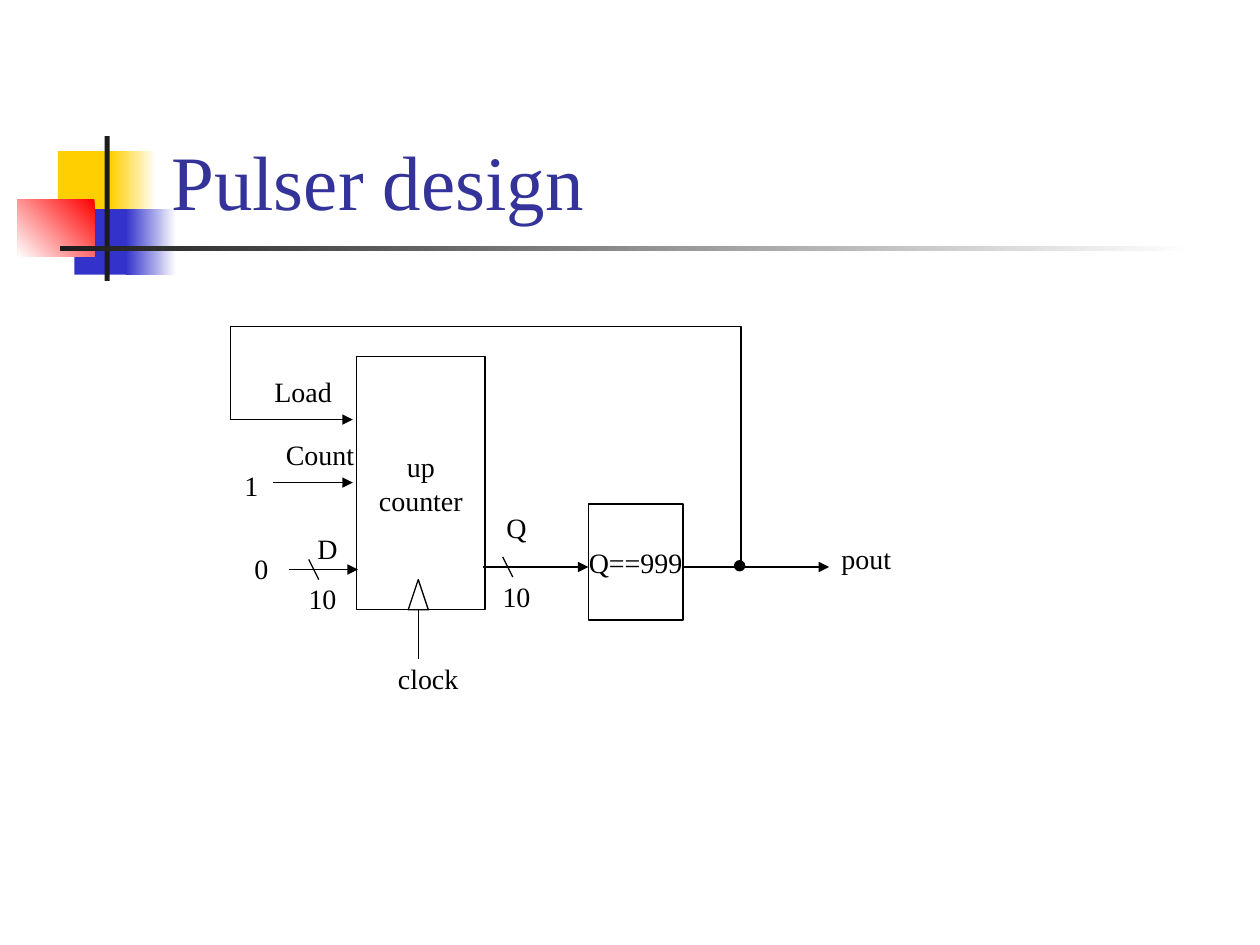
from lxml import etree
from pptx import Presentation
from pptx import util as u
from pptx.dml.color import RGBColor
from pptx.enum import shapes, text
from pptx.oxml import ns

COLORS = {"ink": "000000", "title": "333399", "white": "FFFFFF", "yellow": "FFCF01",
          "blue": "3333CC", "red": "FF0000", "bar": "1C1C1C"}
FONT = "Times New Roman"


def rgb(name):
    """Return the named colour."""
    return RGBColor.from_string(COLORS[name])


def style(paragraph, size, color):
    """Set the font of a paragraph."""
    paragraph.font.name = FONT
    paragraph.font.size = u.Pt(size)
    paragraph.font.color.rgb = rgb(color)


def add_block(slide, kind, left, top, width, height, fill=None, outlined=True):
    """Add a preset shape with an optional solid fill and thin outline."""
    block = slide.shapes.add_shape(kind, *map(u.Inches, (left, top, width, height)))
    block.shadow.inherit = False
    if fill:
        block.fill.solid()
        block.fill.fore_color.rgb = rgb(fill)
    else:
        block.fill.background()
    if outlined:
        block.line.color.rgb = rgb("ink")
        block.line.width = u.Pt(0.75)
    else:
        block.line.fill.background()
    return block


def add_unit(slide, left, top, width, height, caption):
    """Add an outlined circuit unit with centred text."""
    unit = add_block(slide, shapes.MSO_SHAPE.RECTANGLE, left, top, width, height)
    frame = unit.text_frame
    frame.word_wrap = False
    frame.vertical_anchor = text.MSO_ANCHOR.MIDDLE
    frame.text = caption
    for paragraph in frame.paragraphs:
        paragraph.alignment = text.PP_ALIGN.CENTER
        style(paragraph, 16, "ink")


def add_label(slide, left, top, width, caption):
    """Add a one-line signal label."""
    label = slide.shapes.add_textbox(*map(u.Inches, (left, top, width, 0.37)))
    frame = label.text_frame
    frame.word_wrap = False
    frame.auto_size = text.MSO_AUTO_SIZE.SHAPE_TO_FIT_TEXT
    frame.text = caption
    style(frame.paragraphs[0], 16, "ink")


def add_wire(slide, x1, y1, x2, y2, arrow=False, kind=shapes.MSO_CONNECTOR.STRAIGHT):
    """Add a thin wire, with an arrowhead at its end if asked."""
    wire = slide.shapes.add_connector(kind, *map(u.Inches, (x1, y1, x2, y2)))
    wire.line.color.rgb = rgb("ink")
    wire.line.width = u.Pt(0.75)
    if arrow:
        etree.SubElement(wire.line._get_or_add_ln(), ns.qn("a:tailEnd"), type="triangle")
    etree.SubElement(wire._element.spPr, ns.qn("a:effectLst"))
    return wire


def add_bus(slide, x1, x2, y):
    """Add a ten-bit bus: an arrow with a slash and its width."""
    add_wire(slide, x1, y, x2, y, arrow=True)
    add_wire(slide, x1 + 0.16, y - 0.08, x1 + 0.24, y + 0.08)
    add_label(slide, x1 + 0.06, y + 0.05, 0.42, "10")


def add_feedback(slide, start_x, start_y, end_x, end_y, rise):
    """Add the elbow wire that leaves upwards and comes back down at its end."""
    across, drop = start_x - end_x, start_y - end_y
    mid_x, mid_y = (start_x + end_x) / 2, (start_y + end_y) / 2
    wire = add_wire(slide, mid_x - drop / 2, mid_y + across / 2,
                    mid_x + drop / 2, mid_y - across / 2, kind=shapes.MSO_CONNECTOR.ELBOW)
    properties = wire._element.spPr
    properties.find(ns.qn("a:xfrm")).set("rot", str(270 * 60000))
    guides = properties.find(ns.qn("a:prstGeom")).get_or_add_avLst()
    etree.SubElement(guides, ns.qn("a:gd"), name="adj1",
                     fmla=f"val {round(rise / drop * 100000)}")


def add_motif(slide, left, top):
    """Draw the coloured squares and the crossing bars."""
    parts = [
        (0.32, 0.12, 0.48, 0.52, ("yellow",), 0),
        (0.74, 0.12, 0.36, 0.52, ("white", "yellow"), 180),
        (0.45, 0.58, 0.46, 0.52, ("blue",), 0),
        (0.86, 0.58, 0.4, 0.52, ("white", "blue"), 180),
        (0, 0.5, 0.61, 0.46, ("red", "white"), 225),
        (0.69, 0, 0.04, 1.15, ("bar",), 0),
        (0.34, 0.87, 9, 0.04, ("white", "bar"), 180),
    ]
    for dx, dy, width, height, tones, angle in parts:
        part = add_block(slide, shapes.MSO_SHAPE.RECTANGLE, left + dx, top + dy,
                         width, height, tones[0], outlined=False)
        if len(tones) == 2:
            part.fill.gradient()
            part.fill.gradient_angle = angle
            for stop, tone, position in zip(part.fill.gradient_stops, tones, (0, 1)):
                stop.color.rgb = rgb(tone)
                stop.position = position


def add_title(slide, left, top, width, height):
    """Place and format the title above the motif."""
    title = slide.shapes.title
    title.left, title.top, title.width, title.height = map(
        u.Inches, (left, top, width, height))
    frame = title.text_frame
    frame.text = "Pulser design"
    frame.vertical_anchor = text.MSO_ANCHOR.BOTTOM
    frame.auto_size = text.MSO_AUTO_SIZE.NONE
    frame.paragraphs[0].alignment = text.PP_ALIGN.LEFT
    style(frame.paragraphs[0], 44, "title")
    slide.shapes._spTree.append(title._element)


def add_counter(slide, left, top, width, height):
    """Draw the counter with its clock and inputs."""
    bottom, clock_x = top + height, left + 0.49
    add_unit(slide, left, top, width, height, "up\ncounter")
    add_block(slide, shapes.MSO_SHAPE.ISOSCELES_TRIANGLE, clock_x - 0.08,
              bottom - 0.24, 0.16, 0.24)
    add_wire(slide, clock_x, bottom + 0.39, clock_x, bottom)
    add_label(slide, clock_x - 0.26, bottom + 0.36, 0.68, "clock")
    for wire_length, dy in ((0.97, 0.5), (0.63, 1)):
        end = left - 0.03
        add_wire(slide, end - wire_length, top + dy, end, top + dy, arrow=True)
    add_bus(slide, left - 0.54, left + 0.01, top + 1.69)
    for dx, dy, label_width, caption in (
            (-0.75, 0.09, 0.68, "Load"), (-0.66, 0.59, 0.74, "Count"),
            (-0.99, 0.84, 0.31, "1"), (-0.41, 1.34, 0.36, "D"), (-0.91, 1.5, 0.31, "0")):
        add_label(slide, left + dx, top + dy, label_width, caption)


def add_comparator(slide, left, top, width, height):
    """Draw the comparator with its input bus, output and feedback."""
    right, wire_y = left + width, top + 0.5
    add_unit(slide, left, top, width, height, "Q==999")
    add_bus(slide, left - 0.84, left, wire_y)
    add_label(slide, left - 0.75, top, 0.36, "Q")
    add_wire(slide, right, wire_y, right + 1.16, wire_y, arrow=True)
    add_label(slide, right + 1.16, top + 0.25, 0.62, "pout")
    add_block(slide, shapes.MSO_SHAPE.OVAL, right + 0.41, top + 0.45, 0.08, 0.08, "ink")
    add_feedback(slide, right + 0.46, top + 0.45, left - 2.84, top - 0.67, 1.86)


def main():
    """Build and save the slide."""
    deck = Presentation()
    deck.slide_width, deck.slide_height = u.Inches(10), u.Inches(7.5)
    slide = deck.slides.add_slide(deck.slide_layouts[5])
    add_motif(slide, 0.14, 1.08)
    add_title(slide, 1.26, 0.24, 8.52, 1.6)
    add_counter(slide, 2.83, 2.83, 1.02, 2.01)
    add_comparator(slide, 4.67, 4, 0.75, 0.92)
    deck.save("out.pptx")


if __name__ == "__main__":
    main()
